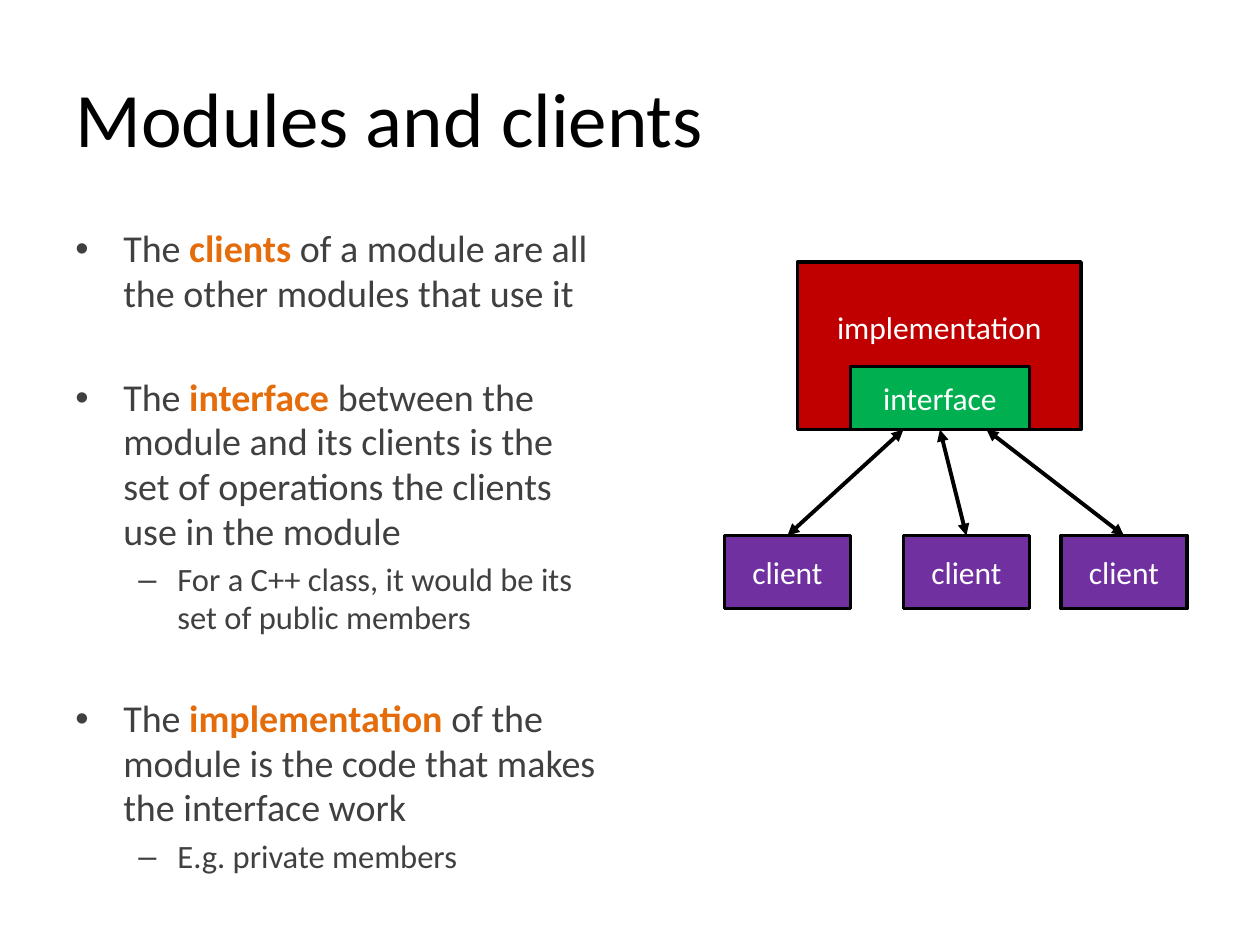
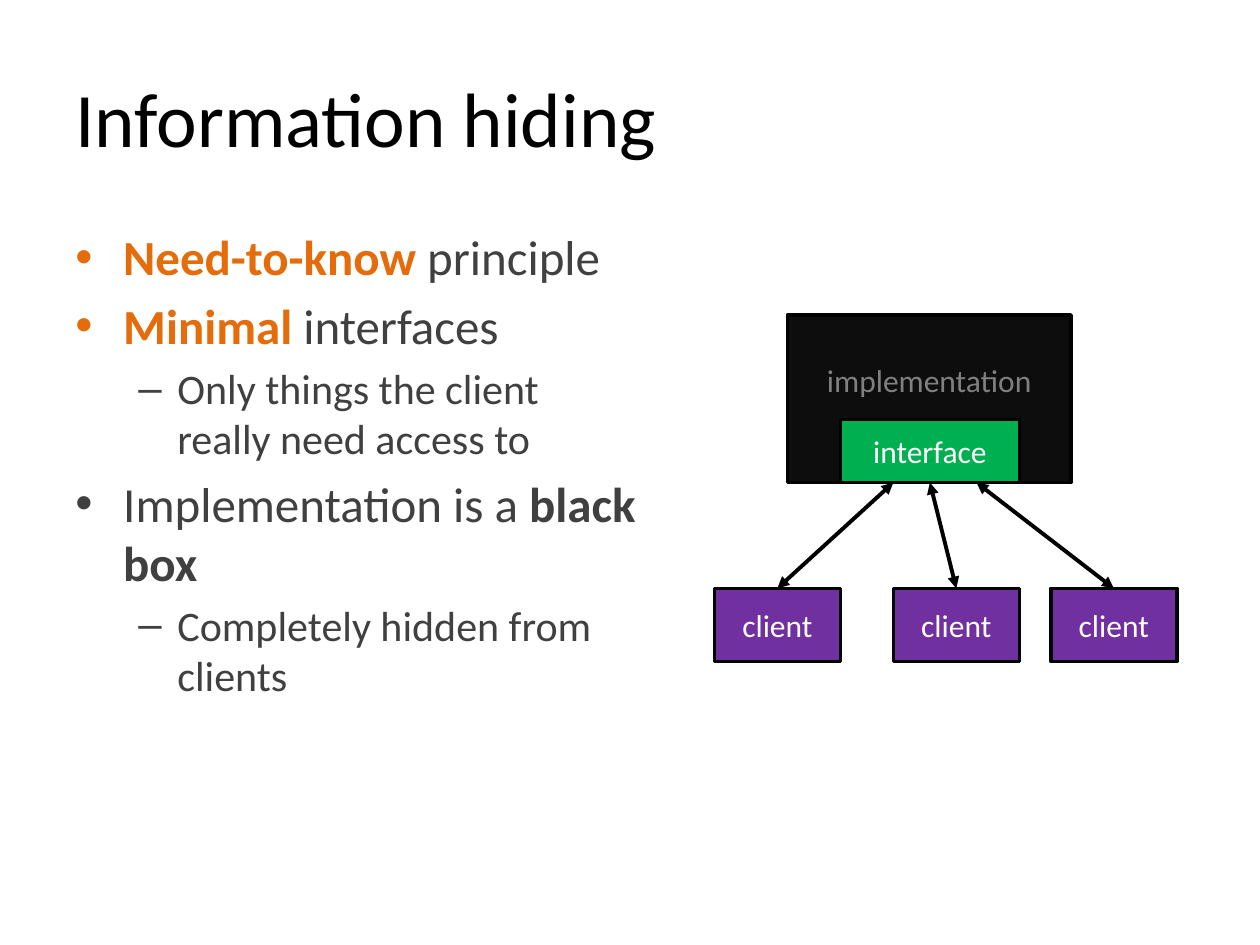
from lxml.etree import SubElement
from pptx import Presentation
from pptx.dml.color import RGBColor
from pptx.enum.shapes import MSO_CONNECTOR, MSO_SHAPE
from pptx.enum.text import MSO_ANCHOR, PP_ALIGN
from pptx.oxml.ns import qn
from pptx.util import Inches, Pt

FONT = "Calibri"
COLORS = {
    "black": "000000",
    "white": "FFFFFF",
    "text": "404040",
    "accent": "E46C0A",
    "open": "C00000",
    "hidden": "0D0D0D",
    "dimmed": "808080",
    "interface": "00B050",
    "client": "7030A0",
}
LEVELS = [("\u2022", 0.38, -0.38), ("\u2013", 0.81, -0.31)]


def color(name):
    return RGBColor.from_string(COLORS[name])


def add_run(paragraph, text, size, color_name, bold=False):
    run = paragraph.add_run()
    run.text = text
    run.font.name = FONT
    run.font.size = Pt(size)
    run.font.bold = bold
    run.font.color.rgb = color(color_name)


def add_text_frame(slide, box):
    frame = slide.shapes.add_textbox(*map(Inches, box)).text_frame
    frame.word_wrap = True
    return frame


def add_title(slide, text, box=(0.5, 0.3, 9, 1.25)):
    frame = add_text_frame(slide, box)
    frame.vertical_anchor = MSO_ANCHOR.MIDDLE
    add_run(frame.paragraphs[0], text, 44, "black")


def set_bullet(paragraph, level):
    character, margin, indent = LEVELS[level]
    paragraph.level = level
    properties = paragraph._p.get_or_add_pPr()
    properties.set("marL", str(Inches(margin)))
    properties.set("indent", str(Inches(indent)))
    SubElement(properties, qn("a:buFont"), typeface="Arial")
    SubElement(properties, qn("a:buChar"), char=character)


def add_bullets(slide, box, items, sizes, line_spacing=1.0, topic_gap=None):
    frame = add_text_frame(slide, box)
    for index, (level, runs) in enumerate(items):
        paragraph = frame.add_paragraph() if index else frame.paragraphs[0]
        size = sizes[level]
        gap = topic_gap if topic_gap and level == 0 else size * 0.2
        paragraph.space_before = Pt(gap if index else 0)
        paragraph.line_spacing = line_spacing
        set_bullet(paragraph, level)
        for text, color_name, bold in runs:
            add_run(paragraph, text, size, color_name, bold)


def add_block(slide, box, text, fill, text_color="white", bottom_inset=0.05):
    shape = slide.shapes.add_shape(MSO_SHAPE.RECTANGLE, *map(Inches, box))
    shape.shadow.inherit = False
    shape.fill.solid()
    shape.fill.fore_color.rgb = color(fill)
    shape.line.color.rgb = color("black")
    shape.line.width = Pt(2)
    frame = shape.text_frame
    frame.word_wrap = True
    frame.vertical_anchor = MSO_ANCHOR.MIDDLE
    frame.margin_bottom = Inches(bottom_inset)
    paragraph = frame.paragraphs[0]
    paragraph.alignment = PP_ALIGN.CENTER
    add_run(paragraph, text, 18, text_color)


def add_double_arrow(slide, start, end):
    connector = slide.shapes.add_connector(
        MSO_CONNECTOR.STRAIGHT, *map(Inches, (*start, *end)))
    connector.line.color.rgb = color("black")
    connector.line.width = Pt(2.25)
    line = connector.line._get_or_add_ln()
    for end_name in ("a:headEnd", "a:tailEnd"):
        SubElement(line, qn(end_name), type="triangle")
    SubElement(connector._element.spPr, qn("a:effectLst"))


def add_module_diagram(slide, left, top, fill, text_color):
    client_top = top + 2.17
    client_lefts = [left + offset for offset in (0, 1.42, 2.67)]
    interface_left = left + 1
    interface_bottom = top + 1.33
    add_block(slide, (left + 0.58, top, 2.25, 1.33), "implementation",
              fill, text_color, bottom_inset=0.35)
    for client_left in client_lefts:
        add_block(slide, (client_left, client_top, 1, 0.58), "client", "client")
    add_block(slide, (interface_left, interface_bottom - 0.5, 1.42, 0.5),
              "interface", "interface")
    for offset, client_left in zip((0.42, 0.71, 1.08), client_lefts):
        add_double_arrow(slide, (interface_left + offset, interface_bottom),
                         (client_left + 0.5, client_top))


def plain(text):
    return text, "text", False


def key(text):
    return text, "accent", True


def build_clients_slide(slide):
    add_title(slide, "Modules and clients")
    add_bullets(slide, (0.5, 1.75, 4.42, 4.95), [
        (0, [plain("The "), key("clients "),
             plain("of a module are all the other modules that use it")]),
        (0, [plain("The "), key("interface "),
             plain("between the module and its clients is the set of "
                   "operations the clients use in the module")]),
        (1, [plain("For a C++ class, it would be its set of public members")]),
        (0, [plain("The "), key("implementation "),
             plain("of the module is the code that makes the interface work")]),
        (1, [plain("E.g. private members")]),
    ], sizes=(21.7, 18.6), line_spacing=0.98, topic_gap=34)
    add_module_diagram(slide, 5.75, 2.08, "open", "white")


def build_hiding_slide(slide):
    add_title(slide, "Information hiding")
    add_bullets(slide, (0.5, 1.75, 4.67, 4.95), [
        (0, [key("Need-to-know "), plain("principle")]),
        (0, [key("Minimal "), plain("interfaces")]),
        (1, [plain("Only things the client really need access to")]),
        (0, [plain("Implementation is a "), ("black box", "text", True)]),
        (1, [plain("Completely hidden from clients")]),
    ], sizes=(28, 24))
    add_module_diagram(slide, 5.67, 2.5, "hidden", "dimmed")


presentation = Presentation()
presentation.slide_width = Inches(10)
presentation.slide_height = Inches(7.5)
for build_slide in (build_clients_slide, build_hiding_slide):
    build_slide(presentation.slides.add_slide(presentation.slide_layouts[6]))
presentation.save("out.pptx")
